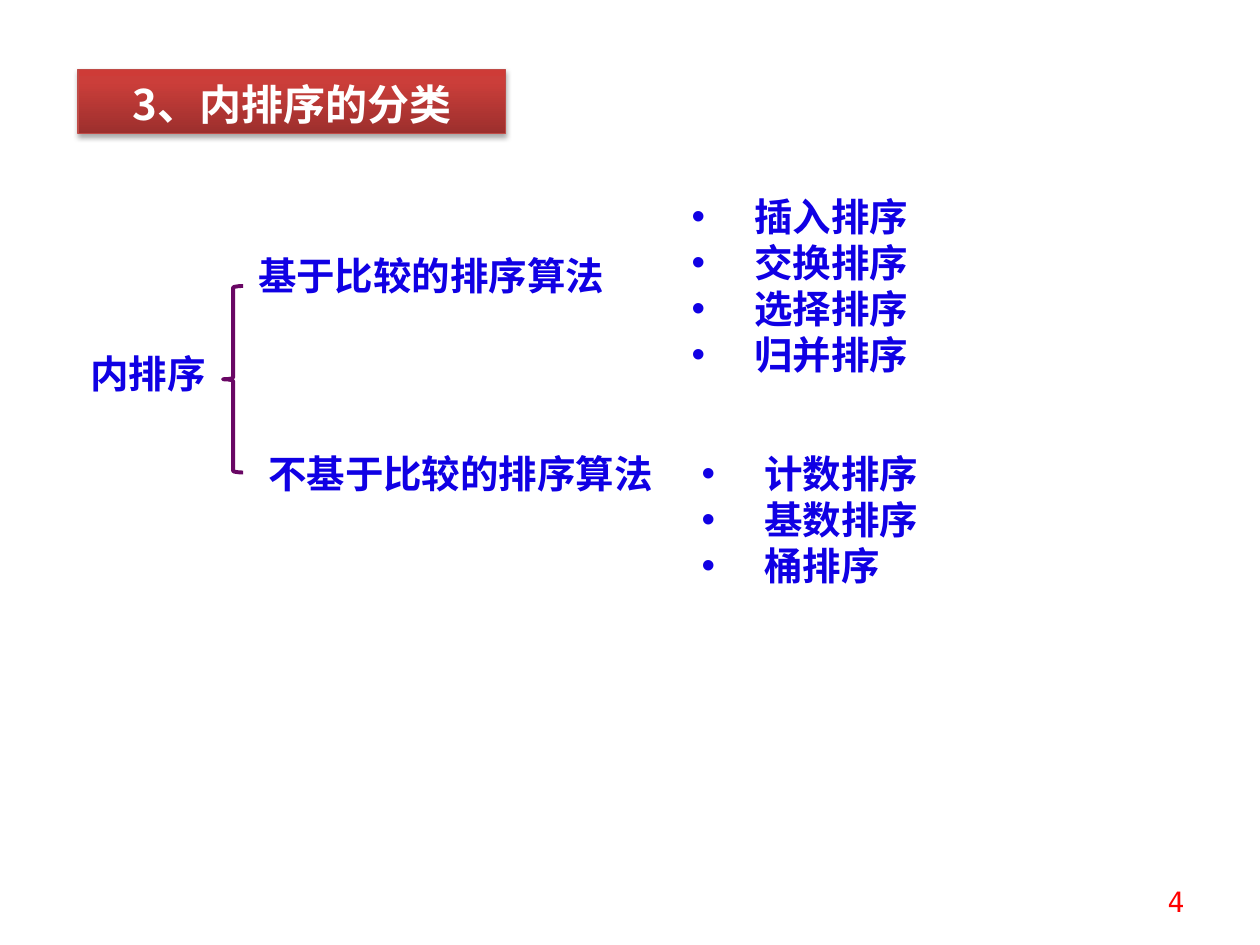
import pptx
import pptx.util
import pptx.dml.color
import pptx.enum.shapes
import pptx.enum.text
import pptx.oxml
import pptx.oxml.ns

Inches = pptx.util.Inches
Pt = pptx.util.Pt
Align = pptx.enum.text.PP_ALIGN
Anchor = pptx.enum.text.MSO_ANCHOR
Fit = pptx.enum.text.MSO_AUTO_SIZE
SANS = "Noto Sans CJK SC"
SERIF = "Times New Roman"
MONO = "DejaVu Sans Mono"
BLUE = "1000E4"


def color(code):
    return pptx.dml.color.RGBColor.from_string(code)


def parse_xml(text):
    space = pptx.oxml.ns.nsdecls("a")
    return pptx.oxml.parse_xml(text.replace(" ", f" {space} ", 1))


def write(frame, lines, font=SERIF, size=22, ink=BLUE, bold=True,
          align=Align.LEFT, anchor=Anchor.TOP, space=None, bullet=False,
          fit=Fit.SHAPE_TO_FIT_TEXT, wrap=True):
    frame.word_wrap = wrap
    frame.auto_size = fit
    frame.vertical_anchor = anchor
    for i, line in enumerate(lines):
        para = frame.paragraphs[0] if i == 0 else frame.add_paragraph()
        para.alignment = align
        if space:
            para.line_spacing = space
        if bullet:
            props = para._p.get_or_add_pPr()
            props.set("marL", str(Inches(0.5)))
            props.set("indent", str(-Inches(0.5)))
            props.append(parse_xml('<a:buFont typeface="Arial"/>'))
            props.append(parse_xml('<a:buChar char="•"/>'))
        run = para.add_run()
        run.text = line
        run.font.name = font
        run.font.size = Pt(size)
        run.font.bold = bold
        run.font.color.rgb = color(ink)


class Deck:
    def __init__(self, wide, high):
        self.show = pptx.Presentation()
        self.show.slide_width = Inches(wide)
        self.show.slide_height = Inches(high)
        self.slide = self.show.slides.add_slide(self.show.slide_layouts[5])

    def title(self, text, box):
        head = self.slide.shapes.title
        head.left, head.top, head.width, head.height = map(Inches, box)
        props = head._element.spPr
        stops = "".join(
            f'<a:gs pos="{at}000"><a:srgbClr val="{code}"/></a:gs>'
            for at, code in ((0, "9C2F2D"), (80, "CB3E3A"), (100, "CE3B37")))
        props.append(parse_xml(
            f'<a:gradFill rotWithShape="1"><a:gsLst>{stops}</a:gsLst>'
            '<a:lin ang="16200000" scaled="0"/></a:gradFill>'))
        head.line.color.rgb = color("BF4C48")
        head.line.width = Pt(0.75)
        props.append(parse_xml(
            f'<a:effectLst ><a:outerShdw blurRad="{Pt(3.1)}" dist="{Pt(1.8)}" '
            'dir="5400000" rotWithShape="0"><a:srgbClr val="000000">'
            '<a:alpha val="35000"/></a:srgbClr></a:outerShdw></a:effectLst>'))
        write(head.text_frame, [text], font=SANS, size=24, ink="FFFFFF",
              align=Align.CENTER, anchor=Anchor.MIDDLE, space=1.1,
              fit=Fit.NONE)

    def text(self, lines, box, **style):
        area = self.slide.shapes.add_textbox(*map(Inches, box))
        write(area.text_frame, lines, **style)

    def brace(self, box, ink, width):
        kind = pptx.enum.shapes.MSO_SHAPE.LEFT_BRACE
        mark = self.slide.shapes.add_shape(kind, *map(Inches, box))
        mark.shadow.inherit = False
        mark.fill.background()
        mark.line.color.rgb = color(ink)
        mark.line.width = Pt(width)


def main():
    deck = Deck(10, 7.5)
    deck.title("3、内排序的分类", (0.62, 0.55, 3.39, 0.51))
    deck.text(["内排序"], (0.62, 2.73, 1.33, 0.47), font=SANS)
    deck.text(["基于比较的排序算法"], (1.95, 1.95, 3.13, 0.47))
    deck.text(["不基于比较的排序算法"], (2.03, 3.52, 3.28, 0.47))
    deck.text(["插入排序", "交换排序", "选择排序", "归并排序"],
              (5.39, 1.48, 1.95, 1.58), bullet=True)
    deck.text(["计数排序", "基数排序", "桶排序"],
              (5.47, 3.52, 2.03, 1.21), bullet=True)
    deck.brace((1.77, 2.27, 0.16, 1.48), "690764", 2.25)
    deck.text(["4"], (7.17, 6.95, 2.33, 0.4), font=MONO, size=16,
              ink="FF0000", bold=False, align=Align.RIGHT,
              anchor=Anchor.MIDDLE, fit=Fit.NONE)
    deck.show.save("out.pptx")


if __name__ == "__main__":
    main()
